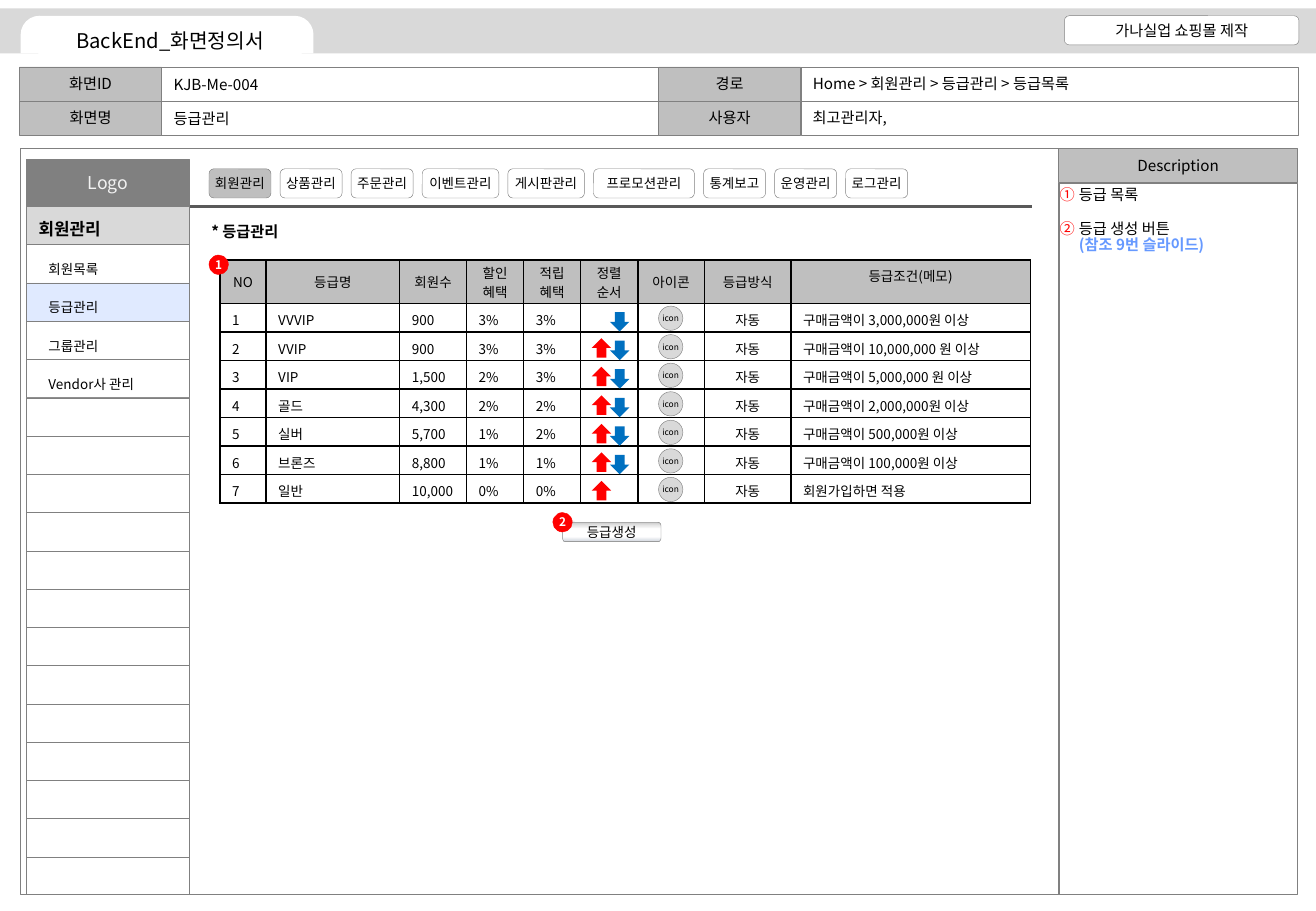
import lxml.etree
import pptx
import pptx.dml.color
import pptx.enum.shapes
import pptx.enum.text
import pptx.oxml.ns
import pptx.util

COLORS = {
    "black": "000000", "white": "FFFFFF", "border": "808080", "label": "BFBFBF",
    "band": "D9D9D9", "rule": "595959", "logo_text": "F2F2F2", "red": "FF0000",
    "blue": "0070C0", "highlight": "6699FF", "bevel": "DDE1E7", "bevel_end": "CCCCCC",
}
FONT = "Noto Sans CJK KR"
GRID = 0.1  # inches per grid column and per grid row
SHAPE = pptx.enum.shapes.MSO_SHAPE
ANCHOR = pptx.enum.text.MSO_ANCHOR
ALIGN = pptx.enum.text.PP_ALIGN
qn = pptx.oxml.ns.qn


def grid(count):
    """Turn grid columns or rows into a length."""
    return pptx.util.Inches(count * GRID)


def rgb(color):
    """Look a colour up by name."""
    return pptx.dml.color.RGBColor.from_string(COLORS[color])


def add_xml(parent, tag, **attributes):
    """Append a child element and return it."""
    return lxml.etree.SubElement(parent, qn(tag), **attributes)


class Screen:
    """The style of the screen definition and the slide it is drawn on."""

    def __init__(self, slide):
        """Keep the current slide."""
        self.slide = slide

    def style(self, paragraph, size, color="black", bold=False, align=None):
        """Format every run of a paragraph."""
        paragraph.alignment = align
        for run in paragraph.runs:
            run.font.size = pptx.util.Pt(size)
            run.font.bold = bold
            run.font.color.rgb = rgb(color)
            run.font.name = FONT
            add_xml(run._r.get_or_add_rPr(), "a:ea", typeface=FONT)

    def shape(self, box, fill=None, line="border", text="", size=9, color="black",
              bold=False, kind=SHAPE.RECTANGLE, inset=None):
        """Add a preset shape with centred text."""
        shape = self.slide.shapes.add_shape(kind, *map(grid, box))
        shape.shadow.inherit = False
        if fill:
            shape.fill.solid()
            shape.fill.fore_color.rgb = rgb(fill)
        else:
            shape.fill.background()
        if line:
            shape.line.color.rgb = rgb(line)
            shape.line.width = pptx.util.Pt(0.25)
        else:
            shape.line.fill.background()
        if text:
            frame = shape.text_frame
            frame.text = text
            frame.vertical_anchor = ANCHOR.MIDDLE
            if inset is not None:
                frame.margin_left = frame.margin_right = grid(inset)
                frame.margin_top = frame.margin_bottom = grid(inset)
            self.style(frame.paragraphs[0], size, color, bold, ALIGN.CENTER)
        return shape

    def text(self, box, text, size=9, bold=False):
        """Add a one-line label."""
        frame = self.slide.shapes.add_textbox(*map(grid, box)).text_frame
        frame.word_wrap = False
        frame.auto_size = pptx.enum.text.MSO_AUTO_SIZE.SHAPE_TO_FIT_TEXT
        frame.text = text
        self.style(frame.paragraphs[0], size, bold=bold)

    def rule(self, left, right, top):
        """Add a thick horizontal line."""
        line = self.slide.shapes.add_connector(
            pptx.enum.shapes.MSO_CONNECTOR.STRAIGHT, *map(grid, (left, top, right, top)))
        line.line.color.rgb = rgb("rule")
        line.line.width = pptx.util.Pt(2.25)
        add_xml(line._element.spPr, "a:effectLst")

    def badge(self, left, top, number):
        """Add a numbered red marker."""
        self.shape((left, top, 1.6, 1.6), "red", "red", number, 7, "white", True,
                   SHAPE.OVAL, 0)

    def button(self, box, text, stops):
        """Add a button with a vertical gradient of (percent, colour) stops."""
        button = self.shape(box, text=text, size=8, kind=SHAPE.ROUNDED_RECTANGLE, inset=0)
        button.fill.gradient()
        button.fill.gradient_angle = 270
        stop_list = button._element.spPr.find(".//" + qn("a:gsLst"))
        for old_stop in list(stop_list):
            stop_list.remove(old_stop)
        for percent, color in stops:
            stop = add_xml(stop_list, "a:gs", pos=str(percent * 1000))
            add_xml(stop, "a:srgbClr", val=COLORS[color])

    def cell(self, cell, text, header, align, anchor):
        """Fill, border and write one table cell."""
        cell.text = text
        cell.vertical_anchor = anchor
        cell.margin_top = grid(0.2 if header and anchor == ANCHOR.MIDDLE else 0.5)
        cell.margin_bottom = grid(0.2)
        if header:
            cell.fill.solid()
            cell.fill.fore_color.rgb = rgb("label")
        else:
            cell.fill.background()
        for paragraph in cell.text_frame.paragraphs:
            self.style(paragraph, 8, align=align)
            if not text:
                add_xml(paragraph._p, "a:endParaRPr", sz="800")
        properties = cell._tc.get_or_add_tcPr()
        for index, side in enumerate(("a:lnL", "a:lnR", "a:lnT", "a:lnB")):
            border = add_xml(properties, side, w="12700")
            add_xml(add_xml(border, "a:solidFill"), "a:srgbClr", val=COLORS["black"])
            properties.insert(index, border)

    def table(self, left, top, widths, heights, rows):
        """Add a bordered table whose first row is the header."""
        table = self.slide.shapes.add_table(
            len(rows), len(widths), *map(grid, (left, top, sum(widths), sum(heights)))).table
        table.first_row = table.horz_banding = False
        for column, width in zip(table.columns, widths):
            column.width = grid(width)
        for r, (values, height) in enumerate(zip(rows, heights)):
            table.rows[r].height = grid(height)
            for c, value in enumerate(values):
                middle = r == 0 and c < len(widths) - 1
                self.cell(table.cell(r, c), value, r == 0,
                          ALIGN.CENTER if r == 0 or value == "자동" else ALIGN.LEFT,
                          ANCHOR.MIDDLE if middle else ANCHOR.TOP)

    def numbered_notes(self, box, notes):
        """Add notes with circled numbers; a second line is a reference."""
        frame = self.slide.shapes.add_textbox(*map(grid, box)).text_frame
        frame.word_wrap = True
        frame.margin_left = frame.margin_right = frame.margin_top = frame.margin_bottom = 0
        frame.text = "\n".join(notes)
        for index, paragraph in enumerate(frame.paragraphs):
            self.style(paragraph, 9)
            paragraph.line_spacing = 0.85
            paragraph.space_before = pptx.util.Pt(11 if index else 0)
            for reference in paragraph.runs[1:]:
                reference.font.bold = True
                reference.font.color.rgb = rgb("highlight")
            properties = paragraph._p.get_or_add_pPr()
            properties.set("marL", str(grid(1.6)))
            properties.set("indent", str(-grid(1.6)))
            add_xml(add_xml(properties, "a:buClr"), "a:srgbClr", val=COLORS["red"])
            add_xml(properties, "a:buAutoNum", type="circleNumDbPlain")


deck = pptx.Presentation()
deck.slide_width, deck.slide_height = grid(108.3), grid(75)
screen = Screen(deck.slides.add_slide(deck.slide_layouts[6]))
ROUNDED = SHAPE.ROUNDED_RECTANGLE

# Title band
screen.shape((0, 0.7, 108.3, 3.7), "band", None)
tab = screen.shape((1.7, 1.3, 24.1, 3.1), "white", None, kind=SHAPE.ROUND_2_SAME_RECTANGLE)
tab.adjustments[0] = 0.5
screen.shape((3, 2.1, 22, 2.4), "white", None, "BackEnd_화면정의서", 12, kind=ROUNDED)
screen.shape((87.6, 1.3, 19.3, 2.4), "white", text="가나실업 쇼핑몰 제작", kind=ROUNDED)

# Screen facts: label, value, left, row, value width, value top
facts = [("화면ID", "KJB-Me-004", 1.6, 0, 9, 5.7),
         ("경로", "Home > 회원관리 > 등급관리 > 등급목록", 54.2, 0, 25.9, 5.6),
         ("화면명", "등급관리", 1.6, 1, 7.1, 8.5),
         ("사용자", "최고관리자,", 54.2, 1, 9, 8.4)]
for label, value, left, row, value_width, value_top in facts:
    fact_top = 5.5 + 2.8 * row
    screen.shape((left, fact_top, 11.7, 2.8), "label", text=label)
    screen.shape((left + 11.7, fact_top, 40.9, 2.85))
    screen.text((left + 11.7, value_top, value_width, 2.5), value)

# Page frame and description
screen.shape((1.7, 12.2, 85.5, 61.4))
screen.shape((87.1, 12.2, 19.7, 2.8), "label", text="Description")
screen.shape((87.1, 15.1, 19.7, 58.5))
screen.numbered_notes((87.2, 15.5, 19.7, 58.3),
                      ["등급 목록", "등급 생성 버튼\v(참조 9번 슬라이드)"])

# Side menu
MENU_LEFT, MENU_TOP, MENU_WIDTH, MENU_STEP = 2.2, 17, 13.4, 3.15
screen.shape((MENU_LEFT, MENU_TOP, MENU_WIDTH, 56.6))
screen.shape((MENU_LEFT, 13.1, MENU_WIDTH, 3.9), "border", text="Logo", size=10.5,
             color="logo_text")
screen.rule(15.6, 84.9, MENU_TOP)
for row in range(17):
    screen.shape((MENU_LEFT, MENU_TOP + MENU_STEP * row, MENU_WIDTH, MENU_STEP),
                 "white" if row else "band")
selected = screen.shape((MENU_LEFT, MENU_TOP + MENU_STEP * 2, MENU_WIDTH, MENU_STEP), "highlight")
add_xml(selected._element.spPr.find(".//" + qn("a:srgbClr")), "a:alpha", val="20000")
screen.text((MENU_LEFT, 17.5, 7.6, 2.7), "회원관리", 10, True)
for row, item in enumerate(["회원목록", "등급관리", "그룹관리", "Vendor사 관리"]):
    screen.text((3, 21 + MENU_STEP * row, 9.5 if row == 3 else 6.5, 2.4), item, 8)

# Top menu
tab_left = 17.2
tab_widths = {4: 5.1, 5: 6.3, 6: 8.3}
for name in ["회원관리", "상품관리", "주문관리", "이벤트관리", "게시판관리",
             "프로모션관리", "통계보고", "운영관리", "로그관리"]:
    screen.shape((tab_left, 13.9, tab_widths[len(name)], 2.4),
                 "label" if name == "회원관리" else None, text=name, size=8,
                 kind=ROUNDED, inset=0)
    tab_left += tab_widths[len(name)] + 0.75

# Grade list
screen.text((16.4, 17.8, 8.1, 2.5), "* 등급관리", bold=True)
headings = ["NO", "등급명", "회원수", "할인\n혜택", "적립\n혜택", "정렬\n순서", "아이콘",
            "등급방식", "등급조건(메모)"]
grades = [("VVVIP", "900", "3%", "3%", "구매금액이 3,000,000원 이상"),
          ("VVIP", "900", "3%", "3%", "구매금액이 10,000,000 원 이상"),
          ("VIP", "1,500", "2%", "3%", "구매금액이 5,000,000 원 이상"),
          ("골드", "4,300", "2%", "2%", "구매금액이 2,000,000원 이상"),
          ("실버", "5,700", "1%", "2%", "구매금액이 500,000원 이상"),
          ("브론즈", "8,800", "1%", "1%", "구매금액이 100,000원 이상"),
          ("일반", "10,000", "0%", "0%", "회원가입하면 적용")]
GRADE_STEP = 2.35
grade_rows = [[str(number), *grade[:4], "", "", "자동", grade[4]]
              for number, grade in enumerate(grades, 1)]
screen.table(18.1, 21.4, [3.8, 11, 5.5, 4.7, 4.7, 4.7, 5.5, 7.1, 19.7],
             [3.6] + [GRADE_STEP] * len(grades), [headings] + grade_rows)
for row in range(len(grades)):
    offset = GRADE_STEP * row
    if row < len(grades) - 1:
        screen.shape((50.2, 25.7 + offset, 1.6, 1.6), "blue", None, kind=SHAPE.DOWN_ARROW)
    if row > 0:
        screen.shape((48.7, 25.5 + offset, 1.6, 1.6), "red", None, kind=SHAPE.UP_ARROW)
    screen.shape((54.2, 25.2 + offset, 2, 2), "band", text="icon", size=5,
                 kind=SHAPE.OVAL, inset=0)

screen.button((46.3, 43, 8.1, 1.6), "등급생성",
              [(0, "label"), (8, "band"), (34, "white"), (74, "white"),
               (93, "bevel"), (100, "bevel_end")])
screen.badge(17.2, 21, "1")
screen.badge(45.5, 42.2, "2")

deck.save("out.pptx")
